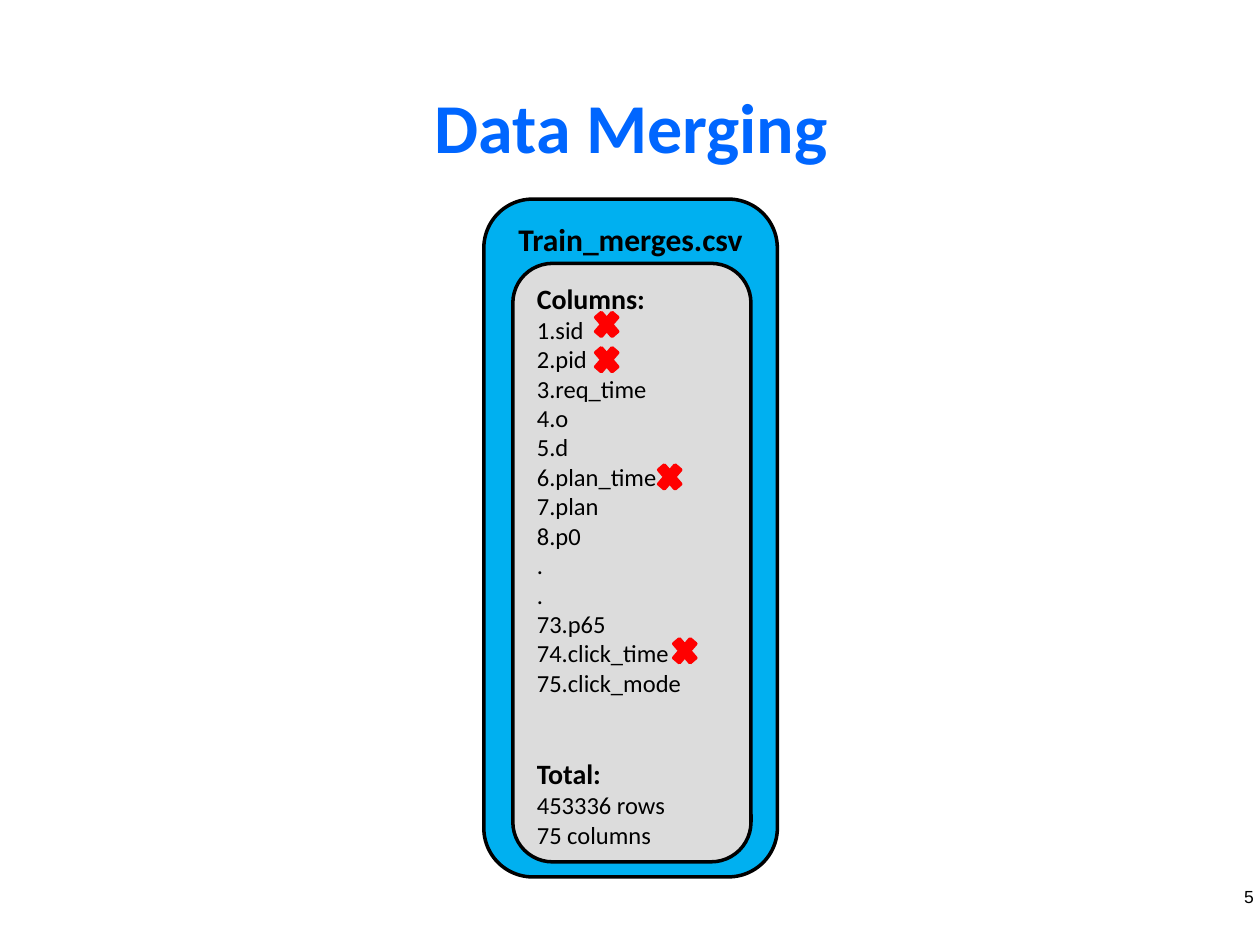
from pptx import Presentation
from pptx.dml.color import RGBColor
from pptx.enum.shapes import MSO_SHAPE
from pptx.enum.text import MSO_ANCHOR, PP_ALIGN
from pptx.util import Inches, Pt

TITLE_BLUE = RGBColor(0x00, 0x66, 0xFF)
FILE_BLUE = RGBColor(0x00, 0xB0, 0xF0)
PANEL_GRAY = RGBColor(0xDC, 0xDC, 0xDC)
CROSS_RED = RGBColor(0xFF, 0x00, 0x00)
BLACK = RGBColor(0x00, 0x00, 0x00)

COLUMNS = [
    "1.sid", "2.pid", "3.req_time", "4.o", "5.d", "6.plan_time", "7.plan",
    "8.p0", ".", ".", "73.p65", "74.click_time", "75.click_mode",
]
TOTALS = ["453336 rows", "75 columns"]
DROPPED_COLUMN_MARKS = [(4.69, 2.43), (4.69, 2.71), (5.19, 3.64), (5.31, 5.02)]


class SlideBuilder:
    font = "Calibri"
    line_width = Pt(2)

    def __init__(self, slide):
        self.slide = slide

    def add_run(self, paragraph, text, size, color=BLACK, bold=False, font=None):
        run = paragraph.add_run()
        run.text = text
        run.font.name = font or self.font
        run.font.size = Pt(size)
        run.font.bold = bold
        run.font.color.rgb = color

    def add_label(self, left, top, width, height, inset, alignment, anchor, text, **style):
        """Add a one-line text box with the same inset on all sides."""
        box = self.slide.shapes.add_textbox(
            Inches(left), Inches(top), Inches(width), Inches(height))
        frame = box.text_frame
        frame.word_wrap = True
        frame.vertical_anchor = anchor
        frame.margin_left = frame.margin_right = Inches(inset)
        frame.margin_top = frame.margin_bottom = Inches(inset)
        paragraph = frame.paragraphs[0]
        paragraph.alignment = alignment
        self.add_run(paragraph, text, **style)

    def add_shape(self, kind, left, top, width, height, fill, line):
        shape = self.slide.shapes.add_shape(
            kind, Inches(left), Inches(top), Inches(width), Inches(height))
        shape.shadow.inherit = False
        shape.fill.solid()
        shape.fill.fore_color.rgb = fill
        shape.line.color.rgb = line
        shape.line.width = self.line_width
        return shape

    def add_panel(self, left, top, width, height, fill, lines, alignment):
        """Add a rounded box; lines holds (text, size, bold, space before)."""
        panel = self.add_shape(
            MSO_SHAPE.ROUNDED_RECTANGLE, left, top, width, height, fill, BLACK)
        frame = panel.text_frame
        frame.word_wrap = True
        frame.vertical_anchor = MSO_ANCHOR.TOP
        for index, (text, size, bold, space_before) in enumerate(lines):
            paragraph = frame.add_paragraph() if index else frame.paragraphs[0]
            paragraph.alignment = alignment
            paragraph.space_before = Pt(space_before)
            self.add_run(paragraph, text, size, bold=bold)

    def add_cross(self, left, top):
        self.add_shape(
            MSO_SHAPE.MATH_MULTIPLY, left, top, 0.25, 0.29, CROSS_RED, CROSS_RED)


def main():
    presentation = Presentation()
    presentation.slide_width = Inches(10)
    presentation.slide_height = Inches(7.5)
    slide = presentation.slides.add_slide(presentation.slide_layouts[6])
    builder = SlideBuilder(slide)

    builder.add_label(0.51, 0.6, 9, 0.79, 0, PP_ALIGN.CENTER, MSO_ANCHOR.MIDDLE,
                      "Data Merging", size=40, color=TITLE_BLUE, bold=True)
    builder.add_label(7.67, 6.98, 2.33, 0.25, 0.05, PP_ALIGN.RIGHT, MSO_ANCHOR.TOP,
                      "5", size=10, font="Arial")

    builder.add_panel(3.84, 1.58, 2.33, 5.38, FILE_BLUE,
                      [("Train_merges.csv", 18, True, 0)], PP_ALIGN.CENTER)
    summary = [
        ("Columns:", 16, True, 0),
        *[(column, 14, False, 0) for column in COLUMNS],
        ("Total:", 16, True, 34),
        *[(total, 14, False, 0) for total in TOTALS],
    ]
    builder.add_panel(4.07, 2.09, 1.89, 4.75, PANEL_GRAY, summary, PP_ALIGN.LEFT)

    for left, top in DROPPED_COLUMN_MARKS:
        builder.add_cross(left, top)

    presentation.save("out.pptx")


if __name__ == "__main__":
    main()
